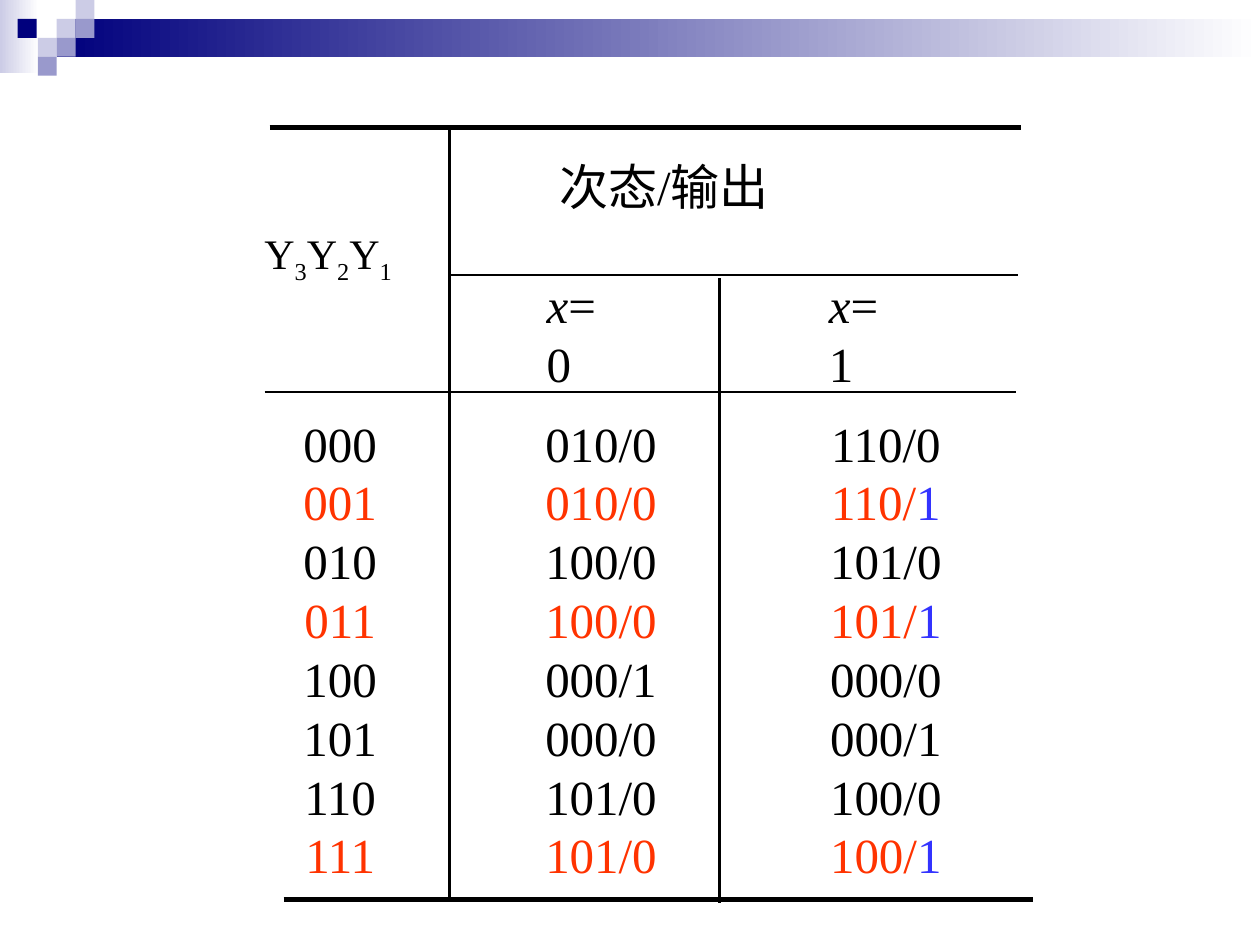
from lxml.etree import SubElement
from pptx import Presentation
from pptx.dml.color import RGBColor
from pptx.enum.shapes import MSO_CONNECTOR, MSO_SHAPE
from pptx.enum.text import MSO_AUTO_SIZE, PP_ALIGN
from pptx.oxml.ns import qn
from pptx.util import Inches, Pt

FONT = "Times New Roman"
BLACK = RGBColor(0x00, 0x00, 0x00)
WHITE = RGBColor(0xFF, 0xFF, 0xFF)
RED = RGBColor(0xFF, 0x33, 0x00)
BLUE = RGBColor(0x33, 0x33, 0xFF)
NAVY = RGBColor(0x00, 0x00, 0x7D)
LAVENDER = RGBColor(0xCC, 0xCC, 0xE6)
PERIWINKLE = RGBColor(0x99, 0x99, 0xCC)

BANDS = [(0, 0, 0.31, 0.58, LAVENDER), (0.45, 0.15, 9.55, 0.3, NAVY)]
TILE = 0.15
TILES = [
    (0.45, 0.15, LAVENDER),
    (0.6, 0, LAVENDER),
    (0.6, 0.15, PERIWINKLE),
    (0.3, 0.3, LAVENDER),
    (0.14, 0.15, NAVY),
    (0.45, 0.3, PERIWINKLE),
    (0.3, 0.45, PERIWINKLE),
]
RULES = [
    (2.14, 1.01, 8.1, 1.01, 3),
    (2.25, 7.14, 8.2, 7.14, 3),
    (3.57, 1.01, 3.57, 7.16, 1.5),
    (5.71, 2.21, 5.71, 7.17, 1.5),
    (3.57, 2.18, 8.08, 2.18, 1),
    (2.1, 3.11, 8.06, 3.11, 1),
]
STATES = [
    ("000", "010/0", "110/0"),
    ("001", "010/0", "110/1"),
    ("010", "100/0", "101/0"),
    ("011", "100/0", "101/1"),
    ("100", "000/1", "000/0"),
    ("101", "000/0", "000/1"),
    ("110", "101/0", "100/0"),
    ("111", "101/0", "100/1"),
]
HIGHLIGHTED = {"001", "011", "111"}
COLUMNS = [(2.21, 0.98), (3.99, 1.56), (6.09, 1.88)]


def add_block(slide, left, top, width, height, color, fade=False):
    block = slide.shapes.add_shape(
        MSO_SHAPE.RECTANGLE, Inches(left), Inches(top), Inches(width), Inches(height)
    )
    block.shadow.inherit = False
    block.line.fill.background()
    if fade:
        block.fill.gradient()
        block.fill.gradient_angle = 180
        for stop, stop_color in zip(block.fill.gradient_stops, (WHITE, color)):
            stop.color.rgb = stop_color
    else:
        block.fill.solid()
        block.fill.fore_color.rgb = color


def add_rule(slide, x1, y1, x2, y2, weight):
    rule = slide.shapes.add_connector(
        MSO_CONNECTOR.STRAIGHT, Inches(x1), Inches(y1), Inches(x2), Inches(y2)
    )
    rule.line.color.rgb = BLACK
    rule.line.width = Pt(weight)
    SubElement(rule._element.spPr, qn("a:effectLst"))


def add_run(paragraph, text, size=28, color=BLACK, italic=False, subscript=False):
    run = paragraph.add_run()
    run.text = text
    run.font.name = FONT
    run.font.size = Pt(size)
    run.font.color.rgb = color
    run.font.italic = italic
    if subscript:
        run._r.get_or_add_rPr().set("baseline", "-25000")


def add_text(slide, left, top, width, height, lines, wrap=False, align=PP_ALIGN.LEFT):
    box = slide.shapes.add_textbox(Inches(left), Inches(top), Inches(width), Inches(height))
    frame = box.text_frame
    frame.word_wrap = wrap
    frame.auto_size = MSO_AUTO_SIZE.SHAPE_TO_FIT_TEXT
    for index, runs in enumerate(lines):
        paragraph = frame.add_paragraph() if index else frame.paragraphs[0]
        paragraph.alignment = align
        for text, style in runs:
            add_run(paragraph, text, **style)


def state_runs(state, entry, column):
    if state not in HIGHLIGHTED:
        return [(entry, {})]
    if column == 2:
        return [(entry[:-1], {"color": RED}), (entry[-1], {"color": BLUE})]
    return [(entry, {"color": RED})]


def add_headings(slide):
    variables = []
    for digit in "321":
        variables.append(("Y", {"size": 24}))
        variables.append((digit, {"size": 24, "subscript": True}))
    add_text(slide, 2, 1.76, 1.21, 0.56, [variables])
    add_text(slide, 4.34, 1.19, 2.05, 0.57, [[("次态/输出", {})]])
    for left, value in ((4.24, "=0"), (6.48, "=1")):
        add_text(slide, left, 2.13, 0.78, 0.57, [[("x", {"italic": True}), (value, {})]])


def add_states(slide):
    for column, (left, width) in enumerate(COLUMNS):
        lines = [state_runs(row[0], row[column], column) for row in STATES]
        add_text(slide, left, 3.23, width, 3.84, lines, wrap=True, align=PP_ALIGN.CENTER)


def main():
    presentation = Presentation()
    presentation.slide_width = Inches(10)
    presentation.slide_height = Inches(7.5)
    slide = presentation.slides.add_slide(presentation.slide_layouts[6])
    for band in BANDS:
        add_block(slide, *band, fade=True)
    for left, top, color in TILES:
        add_block(slide, left, top, TILE, TILE, color)
    for rule in RULES:
        add_rule(slide, *rule)
    add_headings(slide)
    add_states(slide)
    presentation.save("out.pptx")


if __name__ == "__main__":
    main()
